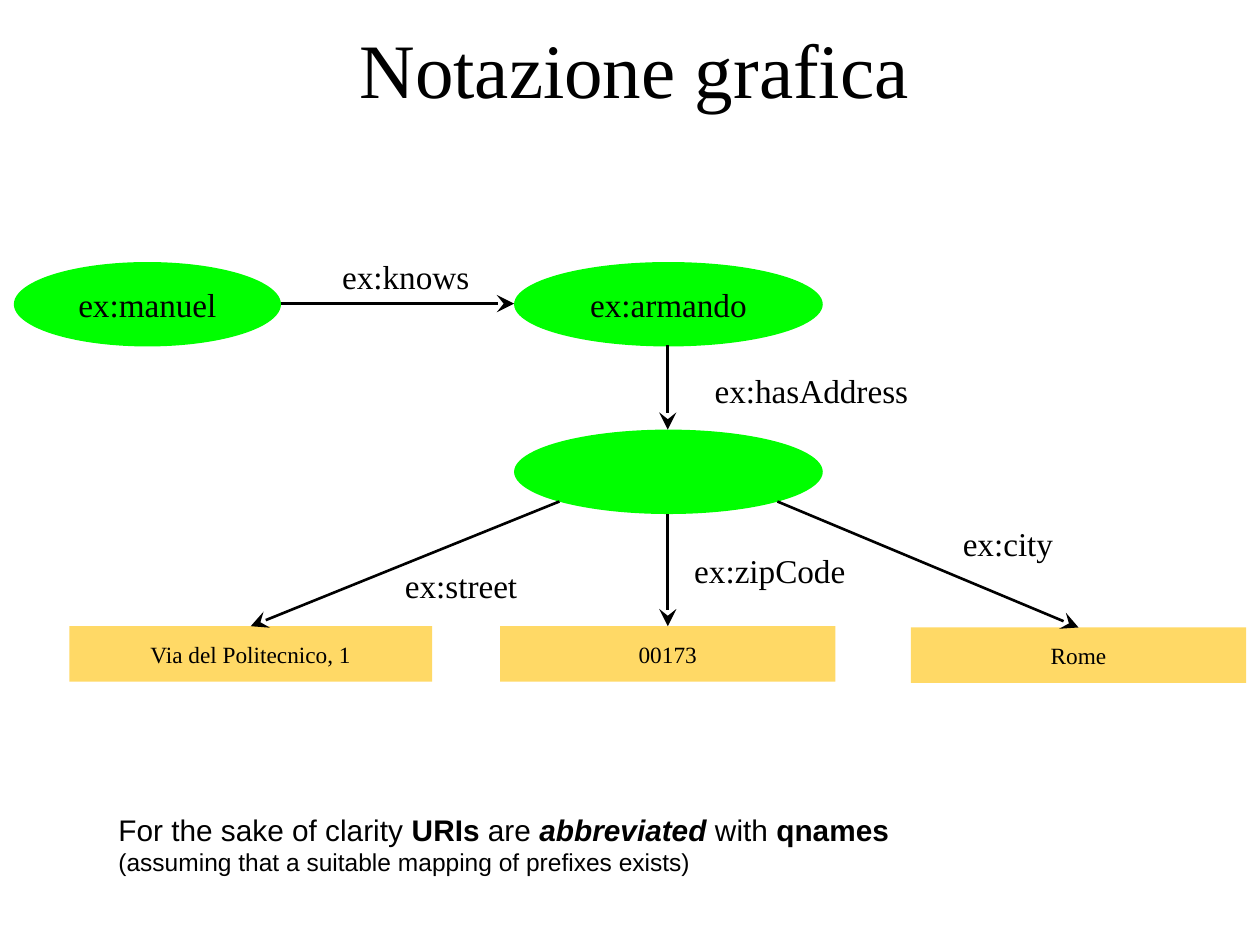
from pptx import Presentation
from pptx.dml.color import RGBColor
from pptx.enum.shapes import MSO_CONNECTOR, MSO_SHAPE
from pptx.enum.text import MSO_ANCHOR, PP_ALIGN
from pptx.oxml.ns import qn
from pptx.util import Inches, Pt
from lxml import etree


def color(value):
    return RGBColor.from_string(value)


def write(shape, paragraphs, font, align, anchor, inset):
    frame = shape.text_frame
    frame.word_wrap = True
    frame.vertical_anchor = anchor
    frame.margin_left = frame.margin_right = Inches(inset)
    frame.margin_top = frame.margin_bottom = Inches(inset)
    for index, (size, runs) in enumerate(paragraphs):
        paragraph = frame.add_paragraph() if index else frame.paragraphs[0]
        paragraph.alignment = align
        for text, bold, italic in runs:
            run = paragraph.add_run()
            run.text = text
            run.font.name = font
            run.font.size = Pt(size)
            run.font.bold = bold
            run.font.italic = italic
            run.font.color.rgb = color("000000")


prs = Presentation()
prs.slide_width = Inches(10)
prs.slide_height = Inches(7.5)
slide = prs.slides.add_slide(prs.slide_layouts[6])

SERIF = "Times New Roman"

title = slide.shapes.add_textbox(Inches(0.3), Inches(0.05), Inches(9.47), Inches(0.98))
write(title, [(44, [("Notazione grafica", False, False)])],
      SERIF, PP_ALIGN.CENTER, MSO_ANCHOR.MIDDLE, 0.04)

resource = (MSO_SHAPE.OVAL, "00FF00", 0.67, 19)
literal = (MSO_SHAPE.RECTANGLE, "FFD966", 0.44, 13.3)
nodes = [
    (resource, "ex:manuel", 0.11, 2.08, 2.12),
    (resource, "ex:armando", 4.08, 2.08, 2.45),
    (resource, "", 4.08, 3.41, 2.45),
    (literal, "Via del Politecnico, 1", 0.55, 4.97, 2.88),
    (literal, "00173", 3.97, 4.97, 2.66),
    (literal, "Rome", 7.23, 4.98, 2.66),
]
for (outline, fill, height, size), text, left, top, width in nodes:
    node = slide.shapes.add_shape(
        outline, Inches(left), Inches(top), Inches(width), Inches(height))
    node.shadow.inherit = False
    node.fill.solid()
    node.fill.fore_color.rgb = color(fill)
    node.line.fill.background()
    if text:
        write(node, [(size, [(text, False, False)])],
              SERIF, PP_ALIGN.CENTER, MSO_ANCHOR.MIDDLE, 0.1)

properties = [
    ("ex:knows", 2.22, 1.86, (2.23, 2.41), (4.08, 2.41)),
    ("ex:hasAddress", 5.44, 2.76, (5.3, 2.74), (5.3, 3.41)),
    ("ex:street", 2.66, 4.31, (4.44, 3.98), (1.99, 4.97)),
    ("ex:zipCode", 5.11, 4.19, (5.3, 4.08), (5.3, 4.97)),
    ("ex:city", 7, 3.98, (6.17, 3.98), (8.56, 4.98)),
]
for text, left, top, start, end in properties:
    arrow = slide.shapes.add_connector(
        MSO_CONNECTOR.STRAIGHT, *[Inches(value) for value in start + end])
    arrow.line.color.rgb = color("000000")
    arrow.line.width = Pt(1.5)
    etree.SubElement(arrow.line._get_or_add_ln(), qn("a:tailEnd"),
                     type="stealth", w="lg", len="lg")
    etree.SubElement(arrow._element.spPr, qn("a:effectLst"))

    label = slide.shapes.add_textbox(Inches(left), Inches(top), Inches(2), Inches(0.67))
    write(label, [(19, [(text, False, False)])],
          SERIF, PP_ALIGN.CENTER, MSO_ANCHOR.MIDDLE, 0.1)

remark = slide.shapes.add_textbox(Inches(0.9), Inches(6.4), Inches(8.87), Inches(0.94))
write(remark, [
    (17, [
        ("For the sake of clarity ", False, False),
        ("URIs", True, False),
        (" are ", False, False),
        ("abbreviated", True, True),
        (" with ", False, False),
        ("qnames", True, False),
    ]),
    (14, [("(assuming that a suitable mapping of prefixes exists)", False, False)]),
], "Arial", PP_ALIGN.LEFT, MSO_ANCHOR.TOP, 0.04)

prs.save("out.pptx")
